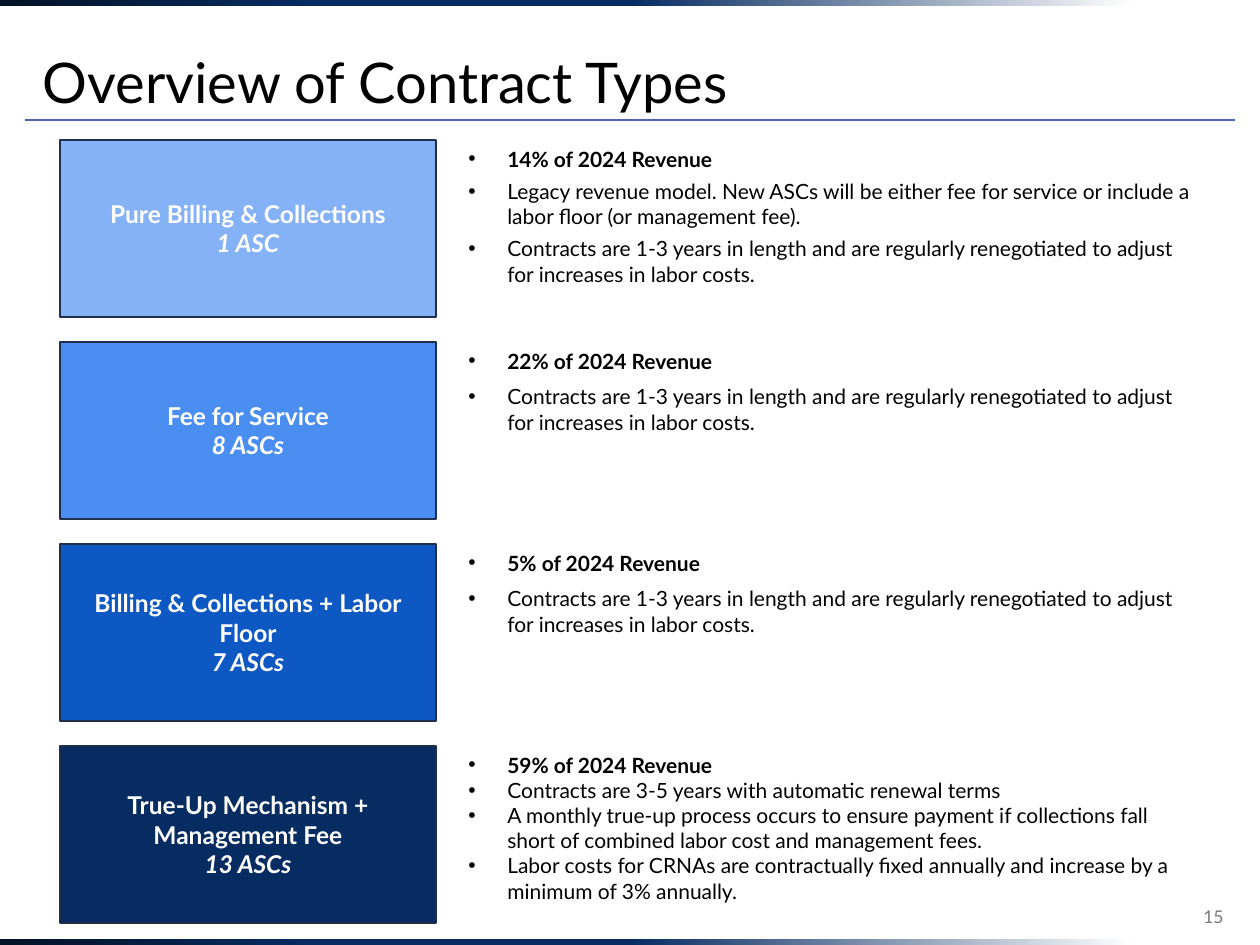
import pptx
import pptx.dml.color
import pptx.enum.shapes
import pptx.enum.text
import pptx.oxml
import pptx.oxml.ns
import pptx.util

PX = 914400 / 126
FONT = "Lato"
ALIGN = pptx.enum.text.PP_ALIGN
ANCHOR = pptx.enum.text.MSO_ANCHOR
RECT = pptx.enum.shapes.MSO_SHAPE.RECTANGLE

COLORS = {
    "text": "000000",
    "label": "FFFFFF",
    "number": "797979",
    "rule": "4A66AC",
    "border": "202D4B",
    "pure": "85B2F6",
    "service": "4A8EF2",
    "floor": "0E58C4",
    "true_up": "072C62",
}
BAND_STOPS = [(0, "031227"), (25, "072C62"), (50, "072C62"), (90, "FFFFFF")]

RENEGOTIATED = (
    "Contracts are 1-3 years in length and are regularly renegotiated "
    "to adjust for increases in labor costs."
)
CONTRACTS = [
    ("pure", "Pure Billing & Collections", "1 ASC", 2, [
        "14% of 2024 Revenue",
        "Legacy revenue model. New ASCs will be either fee for service "
        "or include a labor floor (or management fee).",
        RENEGOTIATED,
    ]),
    ("service", "Fee for Service", "8 ASCs", 3, [
        "22% of 2024 Revenue",
        RENEGOTIATED,
    ]),
    ("floor", "Billing & Collections + Labor Floor", "7 ASCs", 3, [
        "5% of 2024 Revenue",
        RENEGOTIATED,
    ]),
    ("true_up", "True-Up Mechanism + Management Fee", "13 ASCs", 0, [
        "59% of 2024 Revenue",
        "Contracts are 3-5 years with automatic renewal terms",
        "A monthly true-up process occurs to ensure payment if collections "
        "fall short of combined labor cost and management fees.",
        "Labor costs for CRNAs are contractually fixed annually "
        "and increase by a minimum of 3% annually.",
    ]),
]


def px(n):
    return pptx.util.Emu(round(n * PX))


def rgb(name):
    return pptx.dml.color.RGBColor.from_string(COLORS[name])


def add_run(p, text, size, color, bold=False, italic=False):
    r = p.add_run()
    r.text = text
    r.font.name = FONT
    r.font.size = pptx.util.Pt(size)
    r.font.bold = bold
    r.font.italic = italic
    r.font.color.rgb = rgb(color)


def add_paragraph(tf, first):
    return tf.paragraphs[0] if first else tf.add_paragraph()


def add_text_box(slide, x, y, w, h):
    tf = slide.shapes.add_textbox(px(x), px(y), px(w), px(h)).text_frame
    tf.word_wrap = True
    return tf


def add_band(slide, x, y, w, h):
    sp = slide.shapes.add_shape(RECT, px(x), px(y), px(w), px(h))
    sp.shadow.inherit = False
    sp.line.fill.background()
    sp.fill.gradient()
    sp.fill.gradient_angle = 0
    stops = sp._element.spPr.find(".//" + pptx.oxml.ns.qn("a:gsLst"))
    for stop in list(stops):
        stops.remove(stop)
    for position, color in BAND_STOPS:
        stops.append(pptx.oxml.parse_xml(
            f'<a:gs {pptx.oxml.ns.nsdecls("a")} pos="{position * 1000}">'
            f'<a:srgbClr val="{color}"/></a:gs>'
        ))


def add_header(slide, x, y, w, h):
    title = slide.shapes.title
    title.left, title.top, title.width, title.height = px(x), px(y), px(w), px(h)
    tf = title.text_frame
    tf.word_wrap = True
    tf.auto_size = pptx.enum.text.MSO_AUTO_SIZE.NONE
    tf.vertical_anchor = ANCHOR.BOTTOM
    p = tf.paragraphs[0]
    p.alignment = ALIGN.LEFT
    p.line_spacing = 0.9
    add_run(p, "Overview of Contract Types", 32, "text")

    rule_y = px(y + h - 2)
    rule = slide.shapes.add_connector(
        pptx.enum.shapes.MSO_CONNECTOR.STRAIGHT, px(x - 5), rule_y, px(x + w + 7), rule_y
    )
    rule.line.color.rgb = rgb("rule")
    rule.line.width = pptx.util.Pt(1.5)
    rule._element.spPr.append(
        pptx.oxml.parse_xml(f'<a:effectLst {pptx.oxml.ns.nsdecls("a")}/>')
    )


def add_page_number(slide, x, y, w, h):
    tf = add_text_box(slide, x, y, w, h)
    tf.vertical_anchor = ANCHOR.MIDDLE
    p = tf.paragraphs[0]
    p.alignment = ALIGN.RIGHT
    add_run(p, "15", 10, "number")


def add_label(slide, x, y, w, h, fill, name, count):
    sp = slide.shapes.add_shape(RECT, px(x), px(y), px(w), px(h))
    sp.shadow.inherit = False
    sp.fill.solid()
    sp.fill.fore_color.rgb = rgb(fill)
    sp.line.color.rgb = rgb("border")
    sp.line.width = pptx.util.Pt(1.5)
    tf = sp.text_frame
    tf.word_wrap = True
    tf.vertical_anchor = ANCHOR.MIDDLE
    for i, text in enumerate([name, count]):
        p = add_paragraph(tf, i == 0)
        p.alignment = ALIGN.CENTER
        add_run(p, text, 14, "label", bold=True, italic=i == 1)


def add_bullets(slide, x, y, w, h, gap, items):
    tf = add_text_box(slide, x, y, w, h)
    for i, text in enumerate(items):
        p = add_paragraph(tf, i == 0)
        pPr = p._p.get_or_add_pPr()
        pPr.set("marL", str(px(39)))
        pPr.set("indent", str(-px(39)))
        for xml in ('<a:buFont {} typeface="Arial"/>', '<a:buChar {} char="•"/>'):
            pPr.append(pptx.oxml.parse_xml(xml.format(pptx.oxml.ns.nsdecls("a"))))
        p.space_before = pptx.util.Pt(gap if i else 0)
        p.space_after = pptx.util.Pt(gap)
        add_run(p, text, 12, "text", bold=i == 0)


def add_contract(slide, x, y, w, h, contract):
    fill, name, count, gap, items = contract
    label_w = 376
    text_x = label_w + 20
    add_label(slide, x, y, label_w, h, fill, name, count)
    add_bullets(slide, x + text_x, y, w - text_x, h, gap, items)


def main():
    prs = pptx.Presentation()
    prs.slide_width, prs.slide_height = px(1260), px(945)
    slide = prs.slides.add_slide(prs.slide_layouts[5])
    for y in (939, 0):
        add_band(slide, 0, y, 1260, 6)
    add_header(slide, 30, 30, 1198, 92)
    add_page_number(slide, 1029, 892, 207, 50)
    for i, contract in enumerate(CONTRACTS):
        add_contract(slide, 60, 140 + 202 * i, 1151, 177, contract)
    prs.save("out.pptx")


if __name__ == "__main__":
    main()
